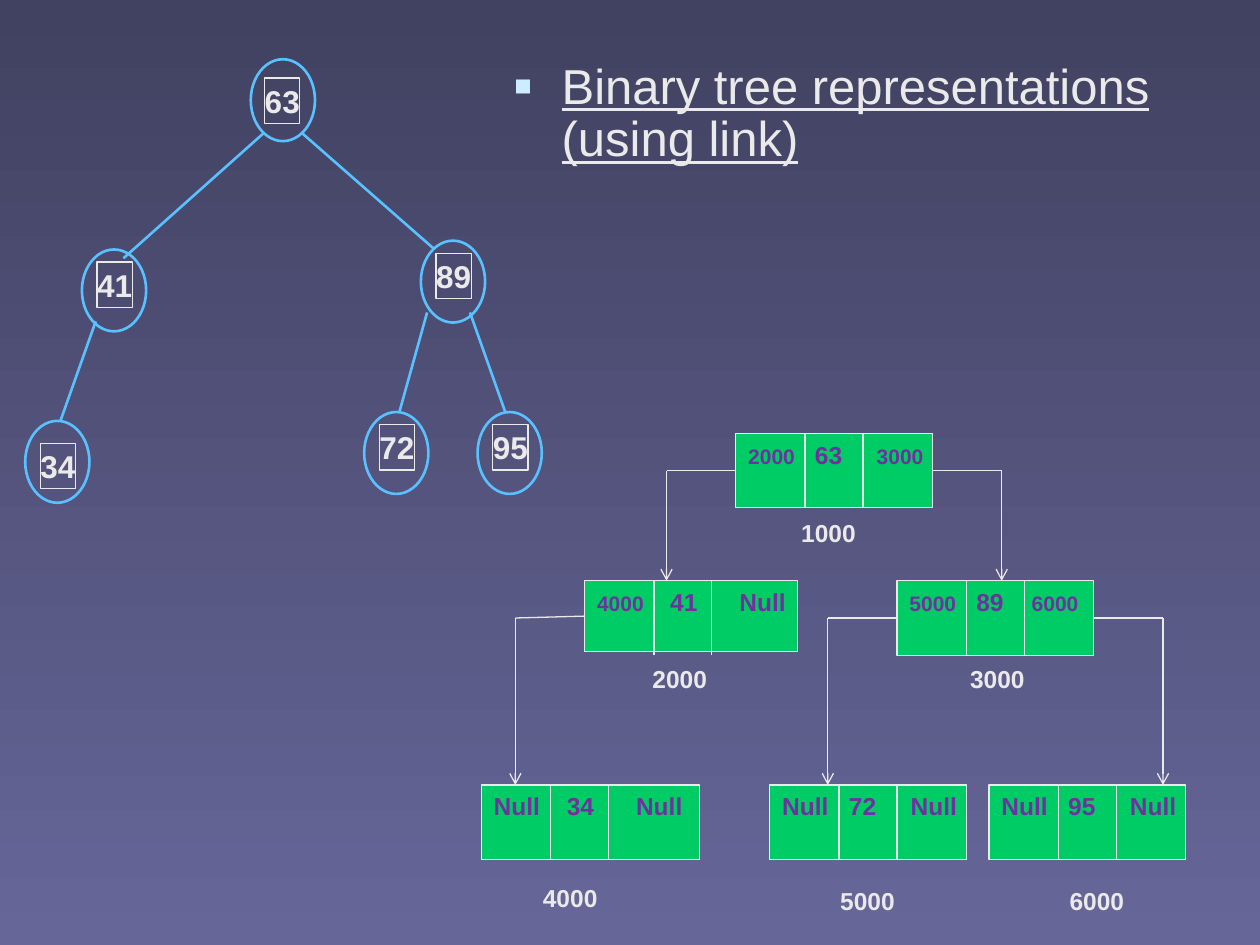
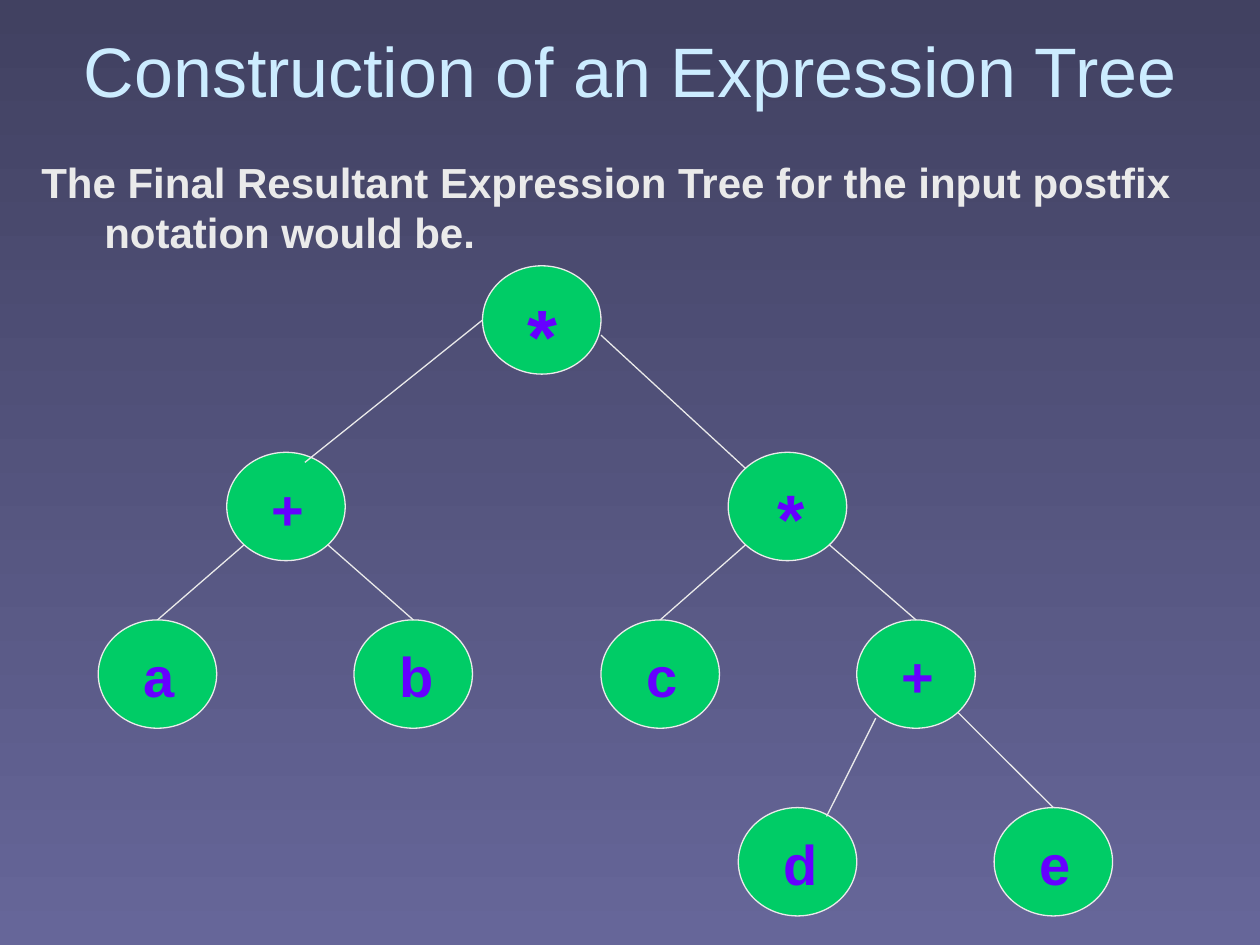
from lxml import etree
from pptx import Presentation
from pptx.dml.color import RGBColor
from pptx.enum import shapes, text
from pptx.oxml.ns import qn
from pptx.util import Inches, Pt

FONT = "Arial"
BG_TOP, BG_BOTTOM = RGBColor(0x41, 0x41, 0x61), RGBColor(0x66, 0x66, 0x99)
PALE = RGBColor(0xEA, 0xEA, 0xEA)
ICE = RGBColor(0xCC, 0xEC, 0xFF)
SKY = RGBColor(0x59, 0xC1, 0xFF)
GREEN = RGBColor(0x00, 0xCC, 0x66)
PURPLE = RGBColor(0x70, 0x30, 0xA0)
VIOLET = RGBColor(0x66, 0x00, 0xFF)
RECT, OVAL = shapes.MSO_SHAPE.RECTANGLE, shapes.MSO_SHAPE.OVAL
CENTER, MIDDLE = text.PP_ALIGN.CENTER, text.MSO_ANCHOR.MIDDLE

# Slide 1: number, value box (left, top), circle (left, top)
TREE_NODES = [
    ("63", (2.1, 0.62), (1.99, 0.47)),
    ("41", (0.77, 2.08), (0.65, 1.98)),
    ("89", (3.46, 2.01), (3.34, 1.91)),
    ("34", (0.32, 3.52), (0.2, 3.34)),
    ("72", (3.01, 3.37), (2.89, 3.27)),
    ("95", (3.91, 3.37), (3.79, 3.27)),
]
VALUE_SIZE, CIRCLE_SIZE = (0.28, 0.36), (0.51, 0.65)
TREE_EDGES = [
    ((2.1, 1.05), (0.98, 2.05)),
    ((2.39, 1.05), (3.45, 1.98)),
    ((0.76, 2.55), (0.48, 3.34)),
    ((3.39, 2.48), (3.17, 3.27)),
    ((3.73, 2.48), (4.01, 3.27)),
]

# address: box, cells as (text, size), tab stops, address label (left, top)
RECORDS = {
    "1000": ((5.84, 3.44, 1.56, 0.59), [("2000", 12), ("63", 14), ("3000", 12)],
             (0.53, 1.02), (6.26, 4.06)),
    "2000": ((4.64, 4.61, 1.69, 0.56), [("4000", 12), ("41", 14), ("Null", 14)],
             (0.58, 1.13), (5.08, 5.22)),
    "3000": ((7.12, 4.61, 1.56, 0.59), [("5000", 12), ("89", 14), ("6000", 12)],
             (0.53, 0.97), (7.6, 5.22)),
    "4000": ((3.82, 6.23, 1.73, 0.59), [("Null", 14), ("34", 14), ("Null", 14)],
             (0.58, 1.13), (4.21, 6.96)),
    "5000": ((6.11, 6.23, 1.56, 0.59), [("Null", 14), ("72", 14), ("Null", 14)],
             (0.53, 1.02), (6.57, 6.98)),
    "6000": ((7.85, 6.23, 1.56, 0.59), [("Null", 14), ("95", 14), ("Null", 14)],
             (0.53, 1.02), (8.39, 6.98)),
}
DIVIDERS, DIVIDER_HEIGHT = (0.55, 1.01), 0.59
LINK_REACH, LINK_DROP = 0.55, 0.295
LINKS = [("1000", "left", "2000"), ("1000", "right", "3000"), ("2000", "left", "4000"),
         ("3000", "left", "5000"), ("3000", "right", "6000")]

# Slide 2: name: symbol, size, left, top, text indent
EXPRESSION = {
    "root": ("*", 44, 3.83, 2.11, 0.22),
    "sum": ("+", 32, 1.8, 3.59, 0.22),
    "product": ("*", 40, 5.78, 3.59, 0.25),
    "a": ("a", 32, 0.78, 4.92, 0.22),
    "b": ("b", 32, 2.81, 4.92, 0.22),
    "c": ("c", 32, 4.77, 4.92, 0.22),
    "inner sum": ("+", 32, 6.8, 4.92, 0.22),
    "d": ("d", 32, 5.86, 6.41, 0.22),
    "e": ("e", 32, 7.89, 6.41, 0.22),
}
NODE_W, NODE_H = 0.94, 0.86
# parent, child, side of the parent: from its lower diagonal point to the child's top
CHILDREN = [("sum", "a", -1), ("sum", "b", 1), ("product", "c", -1),
            ("product", "inner sum", 1), ("inner sum", "e", 1)]
LOOSE_EDGES = [
    ((3.83, 2.54), (2.42, 3.67)),
    ((4.77, 2.66), (5.92, 3.72)),
    ((6.95, 5.7), (6.56, 6.48)),
]


def add_slide(prs):
    s = prs.slides.add_slide(prs.slide_layouts[6])
    fill = s.background.fill
    fill.gradient()
    fill.gradient_angle = 270
    for stop, color, place in zip(fill.gradient_stops, (BG_TOP, BG_BOTTOM), (0, 1)):
        stop.color.rgb = color
        stop.position = place
    return s


def write(sp, runs, size=14, color=PALE, bold=False, underline=False, align=None,
          anchor=text.MSO_ANCHOR.TOP, wrap=True, insets=(0.1, 0.05, 0.1, 0.05),
          indent=0, spacing=None, bullet=None, tabs=()):
    """Fill a shape with one paragraph; runs is a string or (text, size) pairs."""
    tf = sp.text_frame
    tf.word_wrap = wrap
    tf.vertical_anchor = anchor
    tf.margin_left, tf.margin_top, tf.margin_right, tf.margin_bottom = map(Inches, insets)
    p = tf.paragraphs[0]
    p.alignment = align or text.PP_ALIGN.LEFT
    if spacing:
        p.line_spacing = spacing
    pPr = p._p.get_or_add_pPr()
    if indent:
        pPr.set("marL", str(Inches(indent)))
        pPr.set("indent", str(-Inches(indent)))
    if bullet:
        clr = etree.SubElement(pPr, qn("a:buClr"))
        etree.SubElement(clr, qn("a:srgbClr"), val=str(ICE))
        etree.SubElement(pPr, qn("a:buSzPct"), val="115000")
        etree.SubElement(pPr, qn("a:buFont"), typeface=FONT)
        etree.SubElement(pPr, qn("a:buChar"), char=bullet)
    if tabs:
        stops = etree.SubElement(pPr, qn("a:tabLst"))
        for pos in tabs:
            etree.SubElement(stops, qn("a:tab"), pos=str(Inches(pos)), algn="l")
    for words, points in ([(runs, size)] if isinstance(runs, str) else runs):
        r = p.add_run()
        r.text = words
        r.font.name, r.font.size = FONT, Pt(points)
        r.font.bold, r.font.underline = bold, underline
        r.font.color.rgb = color


def add_text(s, box, words, **fmt):
    write(s.shapes.add_textbox(*map(Inches, box)), words, **fmt)


def add_shape(s, kind, box, fill=None, line=PALE, width=0.75):
    sp = s.shapes.add_shape(kind, *map(Inches, box))
    sp.shadow.inherit = False
    if fill is None:
        sp.fill.background()
    else:
        sp.fill.solid()
        sp.fill.fore_color.rgb = fill
    sp.line.color.rgb = line
    sp.line.width = Pt(width)
    return sp


def add_line(s, start, end, color=PALE, width=0.75, arrow=False):
    c = s.shapes.add_connector(shapes.MSO_CONNECTOR.STRAIGHT, *map(Inches, (*start, *end)))
    c.line.color.rgb = color
    c.line.width = Pt(width)
    if arrow:
        etree.SubElement(c.line._get_or_add_ln(), qn("a:tailEnd"), type="arrow")
    etree.SubElement(c._element.spPr, qn("a:effectLst"))
    return c


def add_record(s, address):
    box, cells, tabs, label = RECORDS[address]
    left, top = box[:2]
    sp = add_shape(s, RECT, box, fill=GREEN)
    runs = [(("\t" if i else "") + words, size) for i, (words, size) in enumerate(cells)]
    write(sp, runs, color=PURPLE, bold=True, tabs=tabs, insets=(0.1, 0.05, 0, 0.05))
    for offset in DIVIDERS:
        add_line(s, (left + offset, top), (left + offset, top + DIVIDER_HEIGHT))
    add_text(s, (*label, 0.71, 0.34), address, bold=True)
    return sp


def add_link(s, records, parent, side, child):
    """Run out from the parent's side, then down to the child with an arrow."""
    left, top, width, _ = RECORDS[parent][0]
    edge, turn, site = ((left, left - LINK_REACH, 1) if side == "left"
                        else (left + width, left + width + LINK_REACH, 3))
    y = top + LINK_DROP
    add_line(s, (edge, y), (turn, y)).begin_connect(records[parent], site)
    add_line(s, (turn, y), (turn, RECORDS[child][0][1]), arrow=True)


def linked_tree_slide(prs):
    s = add_slide(prs)
    for number, value_at, _ in TREE_NODES:
        sp = add_shape(s, RECT, (*value_at, *VALUE_SIZE))
        write(sp, number, size=18, bold=True, align=CENTER, anchor=MIDDLE,
              wrap=False, insets=(0, 0, 0, 0))
    for _, _, circle_at in TREE_NODES:
        add_shape(s, OVAL, (*circle_at, *CIRCLE_SIZE), line=SKY, width=1.5)
    for start, end in TREE_EDGES:
        add_line(s, start, end, color=SKY, width=1.5)
    records = {address: add_record(s, address) for address in RECORDS}
    for link in LINKS:
        add_link(s, records, *link)
    add_text(s, (3.98, 0.44, 6, 0.95), "Binary tree representations (using link)",
             size=28, underline=True, indent=0.38, spacing=0.9, bullet="▪")


def expression_tree_slide(prs):
    s = add_slide(prs)
    add_text(s, (0.5, 0, 9, 1.1), "Construction of an Expression Tree",
             size=40, color=ICE, align=CENTER, anchor=MIDDLE)
    add_text(s, (0.23, 1.19, 9.53, 0.9),
             "The Final Resultant Expression Tree for the input postfix notation would be.",
             size=24, bold=True, indent=0.5)
    for symbol, size, left, top, inset in EXPRESSION.values():
        sp = add_shape(s, OVAL, (left, top, NODE_W, NODE_H), fill=GREEN)
        write(sp, symbol, size=size, color=VIOLET, bold=True, insets=(inset, 0.05, 0, 0.05))
    diagonal = 0.5 ** 0.5 / 2
    for parent, child, side in CHILDREN:
        _, _, px, py, _ = EXPRESSION[parent]
        _, _, cx, cy, _ = EXPRESSION[child]
        add_line(s, (px + NODE_W * (0.5 + side * diagonal), py + NODE_H * (0.5 + diagonal)),
                 (cx + NODE_W / 2, cy))
    for start, end in LOOSE_EDGES:
        add_line(s, start, end)


def main():
    prs = Presentation()
    prs.slide_width, prs.slide_height = Inches(10), Inches(7.5)
    linked_tree_slide(prs)
    expression_tree_slide(prs)
    prs.save("out.pptx")


if __name__ == "__main__":
    main()
